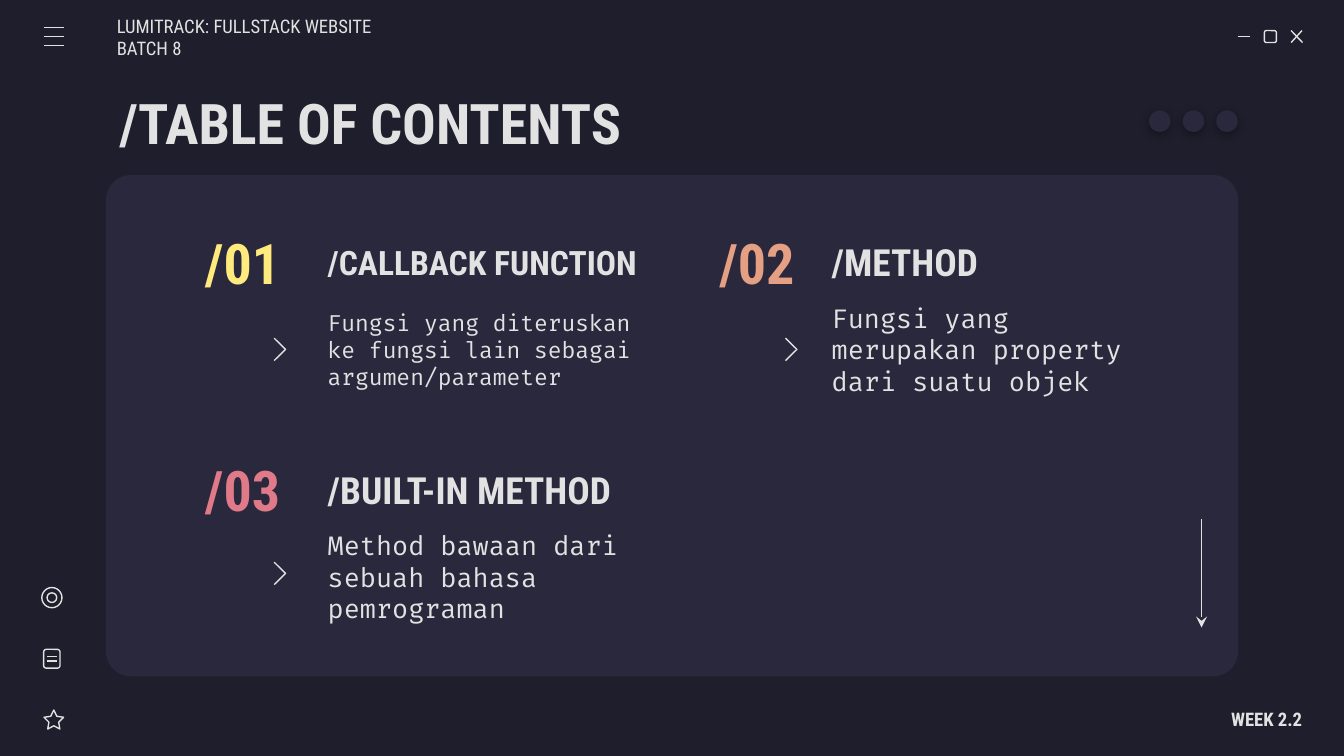
import pptx
import pptx.dml.color
import pptx.enum.shapes
import pptx.enum.text
import pptx.oxml
import pptx.oxml.ns
import pptx.util

Pt = pptx.util.Pt
SHAPE = pptx.enum.shapes.MSO_SHAPE
ALIGN = pptx.enum.text.PP_ALIGN
qn = pptx.oxml.ns.qn

COLORS = {
    "background": "1E1E2C",
    "panel": "29283D",
    "text": "E2E2E2",
    "yellow": "FFEA7D",
    "orange": "E5A083",
    "pink": "E07A88",
}
HEADING_FONT = "Roboto Condensed"
BODY_FONT = "Fira Code"
LINE_WIDTH = 0.75

# Left edge, top edge, number, number colour, heading, heading size, text, text size
TOPICS = [
    (97.2, 120.2, "/01", "yellow", "/CALLBACK FUNCTION", 18,
     "Fungsi yang diteruskan ke fungsi lain sebagai argumen/parameter", 12),
    (372.7, 120.2, "/02", "orange", "/METHOD", 20,
     "Fungsi yang merupakan property dari suatu objek", 14),
    (97.2, 242, "/03", "pink", "/BUILT-IN METHOD", 20,
     "Method bawaan dari sebuah bahasa pemrograman", 14),
]
CHEVRONS = [(146.9, 181.2), (146.9, 301.2), (420.8, 181.2)]


def rgb(name):
    return pptx.dml.color.RGBColor.from_string(COLORS[name])


def format_text(box, text, size, color="text", font=HEADING_FONT, bold=False,
                align=ALIGN.LEFT, left=7.2, right=7.2):
    frame = box.text_frame
    frame.word_wrap = True
    frame.auto_size = pptx.enum.text.MSO_AUTO_SIZE.NONE
    frame.vertical_anchor = pptx.enum.text.MSO_ANCHOR.MIDDLE
    frame.margin_left, frame.margin_right = Pt(left), Pt(right)
    frame.margin_top = frame.margin_bottom = Pt(7.2)
    paragraph = frame.paragraphs[0]
    paragraph.alignment = align
    run = paragraph.add_run()
    run.text = text
    run.font.name = font
    run.font.size = Pt(size)
    run.font.bold = bold
    run.font.color.rgb = rgb(color)


def add_text(slide, x, y, width, height, text, size, **text_format):
    box = slide.shapes.add_textbox(Pt(x), Pt(y), Pt(width), Pt(height))
    format_text(box, text, size, **text_format)


def outline(shape):
    shape.shadow.inherit = False
    shape.fill.background()
    shape.line.color.rgb = rgb("text")
    shape.line.width = Pt(LINE_WIDTH)


def add_filled(slide, kind, x, y, width, height, color):
    shape = slide.shapes.add_shape(kind, Pt(x), Pt(y), Pt(width), Pt(height))
    shape.shadow.inherit = False
    shape.fill.solid()
    shape.fill.fore_color.rgb = rgb(color)
    shape.line.fill.background()
    return shape


def add_outlined(slide, kind, x, y, width, height):
    shape = slide.shapes.add_shape(kind, Pt(x), Pt(y), Pt(width), Pt(height))
    outline(shape)
    return shape


def add_line(slide, x1, y1, x2, y2, arrow=False):
    line = slide.shapes.add_connector(
        pptx.enum.shapes.MSO_CONNECTOR.STRAIGHT, Pt(x1), Pt(y1), Pt(x2), Pt(y2))
    line.line.color.rgb = rgb("text")
    line.line.width = Pt(LINE_WIDTH)
    properties = line._element.spPr
    if arrow:
        properties.find(qn("a:ln")).append(pptx.oxml.parse_xml(
            f'<a:tailEnd {pptx.oxml.ns.nsdecls("a")} type="stealth"/>'))
    properties.append(pptx.oxml.parse_xml(
        f'<a:effectLst {pptx.oxml.ns.nsdecls("a")}/>'))


def add_chevron(slide, x, y, width=6.1, height=12):
    builder = slide.shapes.build_freeform(Pt(x), Pt(y))
    builder.add_line_segments(
        [(Pt(x + width), Pt(y + height / 2)), (Pt(x), Pt(y + height))], close=False)
    outline(builder.convert_to_shape())


def add_shadowed_dot(slide, x, y, size):
    dot = add_filled(slide, SHAPE.OVAL, x, y, size, size, "panel")
    dot._element.spPr.find(qn("a:effectLst")).append(pptx.oxml.parse_xml(
        f'<a:outerShdw {pptx.oxml.ns.nsdecls("a")} blurRad="{Pt(4.5)}" '
        f'dist="{Pt(1.5)}" dir="5400000" algn="bl" rotWithShape="0">'
        '<a:srgbClr val="000000"><a:alpha val="30000"/></a:srgbClr></a:outerShdw>'))


def add_topic(slide, x, y, number, color, heading, heading_size, text, text_size):
    add_text(slide, x, y, 65.5, 40.3, number, 30, color=color, bold=True,
             align=ALIGN.CENTER)
    text_x = x + (71.3 if x < 300 else 65.8)
    add_text(slide, text_x, y, 184.3, 40.3, heading, heading_size, bold=True)
    add_text(slide, text_x, y + 40, 184.3, 54, text, text_size, font=BODY_FONT)


def add_window_controls(slide):
    add_line(slide, 663.1, 19.6, 669.8, 19.6)
    add_outlined(slide, SHAPE.ROUNDED_RECTANGLE, 677.4, 16.4, 6.4, 6.4)
    add_line(slide, 691.7, 16.4, 697.8, 22.8)
    add_line(slide, 697.5, 16.4, 691.7, 22.8)


def add_side_icons(slide):
    # Menu
    for row in range(3):
        add_line(slide, 23.4, 14.8 + 4.75 * row, 34.2, 14.8 + 4.75 * row)
    # Target
    add_outlined(slide, SHAPE.OVAL, 22.4, 314.8, 10.8, 10.8)
    add_outlined(slide, SHAPE.OVAL, 25.2, 317.6, 5.2, 5.2)
    # Document
    add_outlined(slide, SHAPE.ROUNDED_RECTANGLE, 23.4, 347.9, 8.8, 10.1)
    for y in (351.7, 354.2):
        add_line(slide, 25.2, y, 30.4, y)
    # Star
    star = add_outlined(slide, SHAPE.STAR_5_POINT, 23.6, 380.4, 10.5, 10.2)
    star.adjustments[0] = 0.25


def main():
    deck = pptx.Presentation()
    deck.slide_width, deck.slide_height = Pt(720), Pt(405)
    slide = deck.slides.add_slide(deck.slide_layouts[5])
    slide.background.fill.solid()
    slide.background.fill.fore_color.rgb = rgb("background")

    # Title
    title = slide.shapes.title
    title.left, title.top = Pt(56.8), Pt(42.8)
    title.width, title.height = Pt(606.5), Pt(45)
    format_text(title, "/TABLE OF CONTENTS", 30, bold=True)

    # Panel with the topics
    panel = add_filled(slide, SHAPE.ROUNDED_RECTANGLE, 56.8, 93.8, 606.5, 268.6, "panel")
    panel.adjustments[0] = 0.05
    for topic in TOPICS:
        add_topic(slide, *topic)
    for x, y in CHEVRONS:
        add_chevron(slide, x, y)
    add_line(slide, 643.7, 278, 643.7, 336.2, arrow=True)

    # Window decoration
    add_window_controls(slide)
    add_side_icons(slide)
    for column in range(3):
        add_shadowed_dot(slide, 615.6 + 18 * column, 59.2, 11.5)

    # Header and footer
    add_text(slide, 62.6, 9, 165, 21.6, "LUMITRACK: FULLSTACK WEBSITE BATCH 8", 10, left=0)
    add_text(slide, 613.4, 374.6, 84.2, 21.6, "WEEK 2.2", 10, bold=True,
             align=ALIGN.RIGHT, right=0)

    deck.save("out.pptx")


if __name__ == "__main__":
    main()
